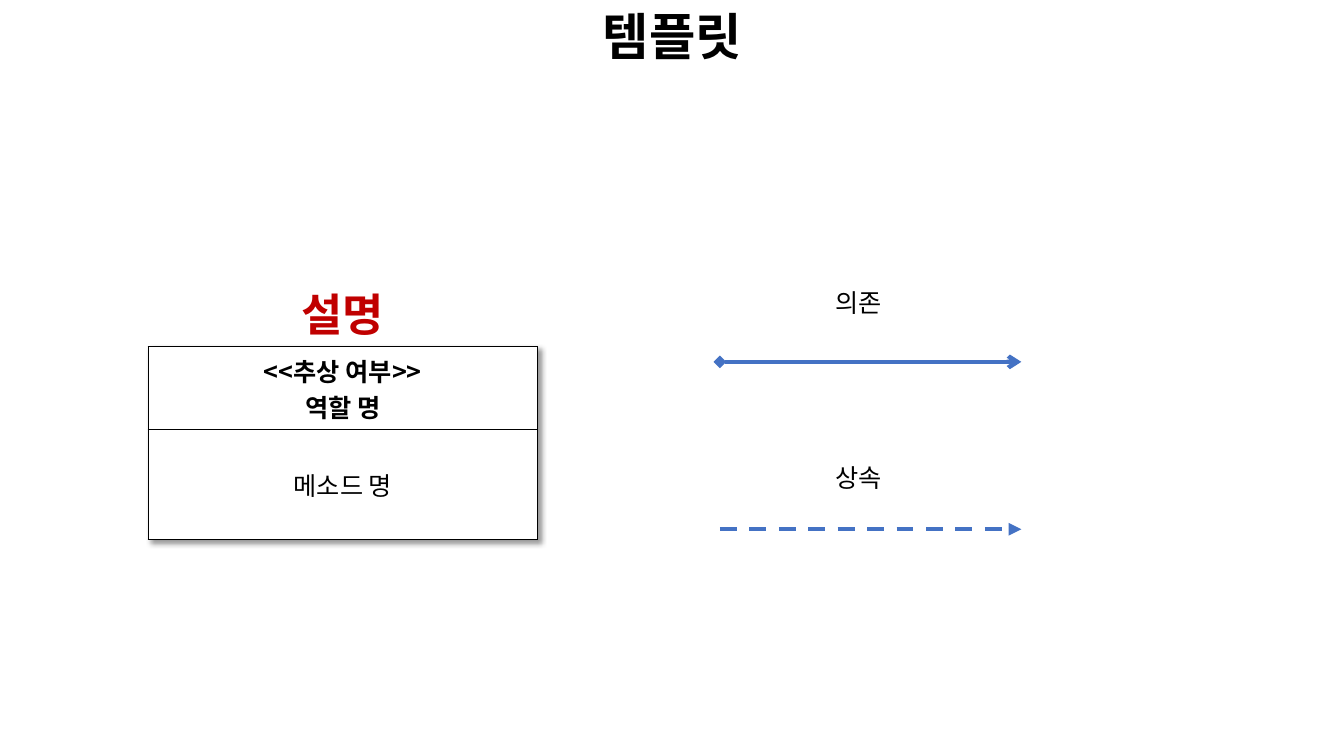
"""Build a legend slide for class boxes and their arrows."""
from dataclasses import dataclass

from lxml import etree
from pptx import Presentation
from pptx.dml.color import RGBColor
from pptx.enum.dml import MSO_LINE
from pptx.enum.shapes import MSO_CONNECTOR
from pptx.enum.text import MSO_ANCHOR, MSO_AUTO_SIZE, PP_ALIGN
from pptx.oxml import parse_xml
from pptx.oxml.ns import nsdecls, qn
from pptx.util import Inches, Pt

CENTER = PP_ALIGN.CENTER
MIDDLE = MSO_ANCHOR.MIDDLE
GROW = MSO_AUTO_SIZE.SHAPE_TO_FIT_TEXT
STRAIGHT = MSO_CONNECTOR.STRAIGHT
DASH = MSO_LINE.DASH


@dataclass(frozen=True)
class Theme:
    """Hold colours, font and sizes."""
    font: str = "Noto Sans CJK KR"
    ink: str = "000000"
    paper: str = "FFFFFF"
    red: str = "C00000"
    blue: str = "4472C4"
    title: int = 36
    head: int = 32
    body: int = 18
    stroke: int = 3
    edge: int = 1


class Board:
    """Draw styled elements on one slide."""

    def __init__(self, theme, slide):
        """Keep the theme and the slide."""
        self.theme = theme
        self.slide = slide

    def letter(self, frame, lines, size, color, bold):
        """Fill a text frame with centred lines."""
        frame.text = "\n".join(lines)
        for para in frame.paragraphs:
            para.alignment = CENTER
            font = para.font
            font.size = Pt(size)
            font.bold = bold
            font.color.rgb = RGBColor.from_string(color)
            font.name = self.theme.font
            props = para._p.pPr.find(qn("a:defRPr"))
            etree.SubElement(props, qn("a:ea"), typeface=self.theme.font)

    def label(self, text, left, top, width, height, size, color, bold=False):
        """Add an unwrapped text box."""
        box = self.slide.shapes.add_textbox(
            Inches(left), Inches(top), Inches(width), Inches(height))
        frame = box.text_frame
        frame.word_wrap = False
        frame.auto_size = GROW
        self.letter(frame, [text], size, color, bold)

    def arrow(self, left, right, top, tail, head=None, dash=None):
        """Add a level line with its ends."""
        link = self.slide.shapes.add_connector(
            STRAIGHT, Inches(left), Inches(top), Inches(right), Inches(top))
        line = link.line
        line.color.rgb = RGBColor.from_string(self.theme.blue)
        line.width = Pt(self.theme.stroke)
        if dash:
            line.dash_style = dash
        props = link._element.spPr
        stroke = props.find(qn("a:ln"))
        for tag, kind in (("a:headEnd", head), ("a:tailEnd", tail)):
            if kind:
                etree.SubElement(stroke, qn(tag), type=kind)
        etree.SubElement(props, qn("a:effectLst"))

    def border(self, cell):
        """Draw all four edges of a cell."""
        props = cell._tc.get_or_add_tcPr()
        for side in "LRTB":
            props.append(parse_xml(
                f'<a:ln{side} {nsdecls("a")} w="{Pt(self.theme.edge)}">'
                f'<a:solidFill><a:srgbClr val="{self.theme.ink}"/></a:solidFill>'
                f'</a:ln{side}>'))

    def table(self, rows, left, top, width):
        """Add a one-column table with a soft shadow."""
        total = sum(height for height, _, _ in rows)
        grid = self.slide.shapes.add_table(
            len(rows), 1, Inches(left), Inches(top),
            Inches(width), Inches(total)).table
        grid.first_row = False
        grid.horz_banding = False
        grid._tbl.tblPr.insert(0, parse_xml(
            f'<a:effectLst {nsdecls("a")}>'
            '<a:outerShdw blurRad="50800" dist="38100" dir="2700000" algn="tl">'
            f'<a:srgbClr val="{self.theme.ink}"><a:alpha val="40000"/></a:srgbClr>'
            '</a:outerShdw></a:effectLst>'))
        for index, (height, lines, bold) in enumerate(rows):
            grid.rows[index].height = Inches(height)
            cell = grid.cell(index, 0)
            self.border(cell)
            cell.fill.solid()
            cell.fill.fore_color.rgb = RGBColor.from_string(self.theme.paper)
            cell.vertical_anchor = MIDDLE
            self.letter(cell.text_frame, lines, self.theme.body,
                        self.theme.ink, bold)


def main():
    """Compose and save the slide."""
    deck = Presentation()
    deck.slide_width = Inches(13.33)
    deck.slide_height = Inches(7.5)
    theme = Theme()
    board = Board(theme, deck.slides.add_slide(deck.slide_layouts[6]))

    board.table([(0.72, ["<<추상 여부>>", "역할 명"], True),
                 (1.09, ["메소드 명"], False)], 1.47, 3.44, 3.86)
    board.label("설명", 2.85, 2.8, 1.1, 0.64, theme.head, theme.red, True)
    board.arrow(7.14, 10.13, 3.59, "arrow", head="diamond")
    board.arrow(7.14, 10.13, 5.25, "triangle", dash=DASH)
    board.label("템플릿", 5.81, 0, 1.72, 0.71, theme.title, theme.ink, True)
    for text, top in (("의존", 2.8), ("상속", 4.54)):
        board.label(text, 8.16, top, 0.71, 0.4, theme.body, theme.ink)

    deck.save("out.pptx")


main()
